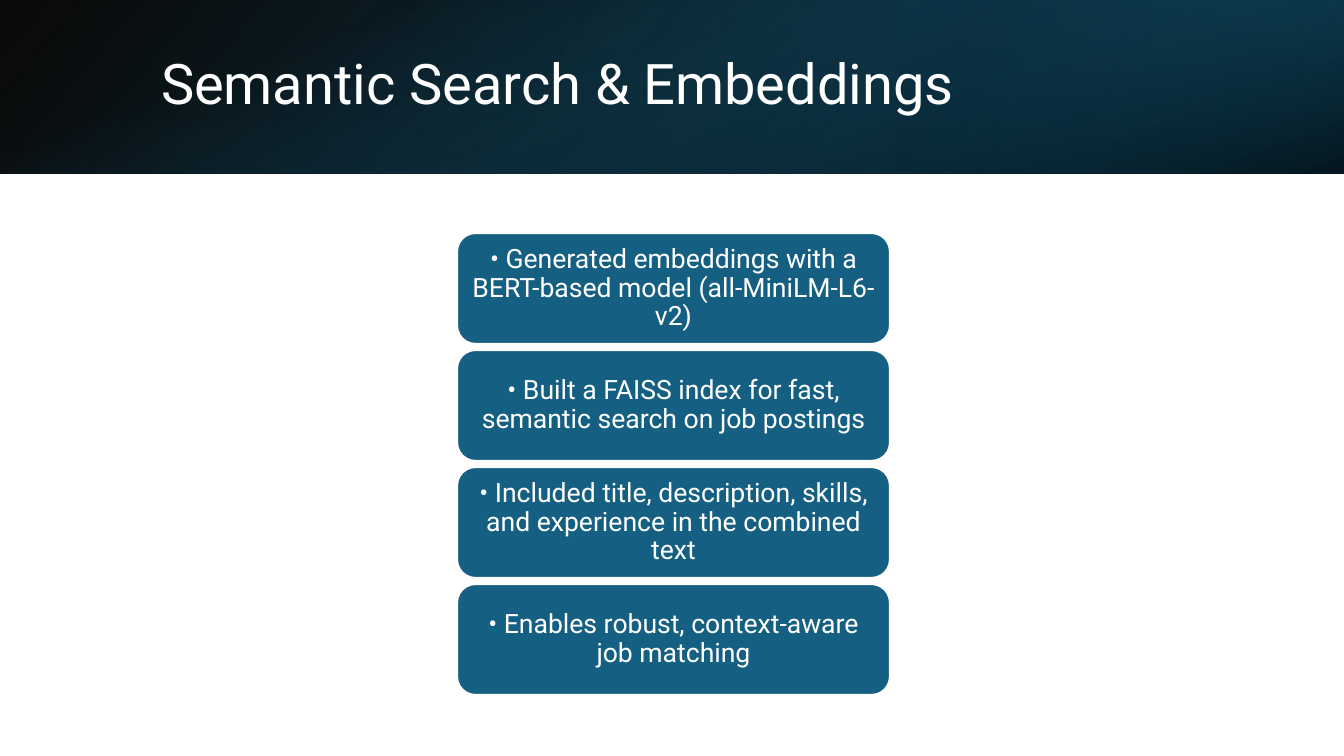
from dataclasses import dataclass

from lxml.etree import SubElement
from pptx import Presentation
from pptx.dml.color import RGBColor
from pptx.enum.shapes import MSO_SHAPE
from pptx.enum.text import MSO_ANCHOR, MSO_AUTO_SIZE, PP_ALIGN
from pptx.oxml.ns import qn
from pptx.shapes.autoshape import Shape
from pptx.slide import Slide
from pptx.text.text import TextFrame
from pptx.util import Emu, Pt

WIDE, HIGH, HEAD = 1344, 756, 174
SCALE = 12192000 / WIDE


@dataclass(frozen=True)
class Theme:
    font: str = "Roboto"
    white: str = "FFFFFF"
    blue: str = "156082"
    deep: str = "104862"
    navy: str = "0B3041"
    black: str = "000000"
    title: int = 40
    body: int = 19
    line: float = 1.5


THEME = Theme()


@dataclass(frozen=True)
class Box:
    left: int
    top: int
    width: int
    height: int


@dataclass(frozen=True)
class Stop:
    place: int
    color: str
    alpha: int


@dataclass(frozen=True)
class Band:
    box: Box
    angle: int
    stops: tuple[Stop, Stop]
    turn: int = 0
    flip: bool = False


@dataclass(frozen=True)
class Card:
    box: Box
    text: str


BANDS = (
    Band(Box(0, 0, WIDE, HEAD), 140,
         (Stop(0, THEME.black, 96), Stop(100, THEME.deep, 100)), flip=True),
    Band(Box(WIDE * 2 // 3, 0, WIDE // 3, HEAD), 320,
         (Stop(19, THEME.navy, 68), Stop(100, THEME.blue, 79)), turn=180, flip=True),
    Band(Box((WIDE - HEAD) // 2, (HEAD - WIDE) // 2, HEAD, WIDE), 340,
         (Stop(23, THEME.blue, 0), Stop(99, THEME.black, 74)), turn=90),
)
POINTS = (
    "• Generated embeddings with a BERT-based model (all-MiniLM-L6-v2)",
    "• Built a FAISS index for fast, semantic search on job postings",
    "• Included title, description, skills, and experience in the combined text",
    "• Enables robust, context-aware job matching",
)
PITCH = 117
CARDS = [Card(Box(457, 233 + PITCH * row, 433, 111), text)
         for row, text in enumerate(POINTS)]


def px(count: int) -> Emu:
    return Emu(round(count * SCALE))


def rgb(color: str) -> RGBColor:
    return RGBColor.from_string(color)


def add_shape(slide: Slide, kind: MSO_SHAPE, box: Box) -> Shape:
    shape = slide.shapes.add_shape(
        kind, px(box.left), px(box.top), px(box.width), px(box.height))
    shape.shadow.inherit = False
    return shape


def set_text(frame: TextFrame, text: str, size: int, align: PP_ALIGN) -> None:
    frame.text = text
    frame.word_wrap = True
    frame.auto_size = MSO_AUTO_SIZE.NONE
    frame.vertical_anchor = MSO_ANCHOR.MIDDLE
    para = frame.paragraphs[0]
    para.alignment = align
    para.line_spacing = 0.9
    para.font.name = THEME.font
    para.font.size = Pt(size)
    para.font.color.rgb = rgb(THEME.white)


def draw_band(slide: Slide, band: Band) -> None:
    shape = add_shape(slide, MSO_SHAPE.RECTANGLE, band.box)
    shape.rotation = band.turn
    shape.line.fill.background()
    shape.fill.gradient()
    shape.fill.gradient_angle = 360 - band.angle
    for mark, stop in zip(shape.fill.gradient_stops, band.stops):
        mark.position = stop.place / 100
        mark.color.rgb = rgb(stop.color)
    props = shape._element.spPr
    for node, stop in zip(props.iter(qn("a:srgbClr")), band.stops):
        SubElement(node, qn("a:alpha")).set("val", str(stop.alpha * 1000))
    if band.flip:
        props.find(qn("a:xfrm")).set("flipH", "1")


def draw_title(slide: Slide, text: str) -> None:
    """Place the title in front of the header bands."""
    title = slide.shapes.title
    title.left, title.top = px(151), px(38)
    title.width, title.height = px(1107), px(97)
    set_text(title.text_frame, text, THEME.title, PP_ALIGN.LEFT)
    slide.shapes._spTree.append(title._element)


def draw_card(slide: Slide, card: Card) -> None:
    shape = add_shape(slide, MSO_SHAPE.ROUNDED_RECTANGLE, card.box)
    shape.fill.solid()
    shape.fill.fore_color.rgb = rgb(THEME.blue)
    shape.line.color.rgb = rgb(THEME.white)
    shape.line.width = Pt(THEME.line)
    frame = shape.text_frame
    frame.margin_left = frame.margin_right = px(8)
    frame.margin_top = frame.margin_bottom = px(4)
    set_text(frame, card.text, THEME.body, PP_ALIGN.CENTER)


def main() -> None:
    deck = Presentation()
    deck.slide_width, deck.slide_height = px(WIDE), px(HIGH)
    slide = deck.slides.add_slide(deck.slide_layouts[5])
    for band in BANDS:
        draw_band(slide, band)
    draw_title(slide, "Semantic Search & Embeddings")
    for card in CARDS:
        draw_card(slide, card)
    deck.save("out.pptx")


if __name__ == "__main__":
    main()
